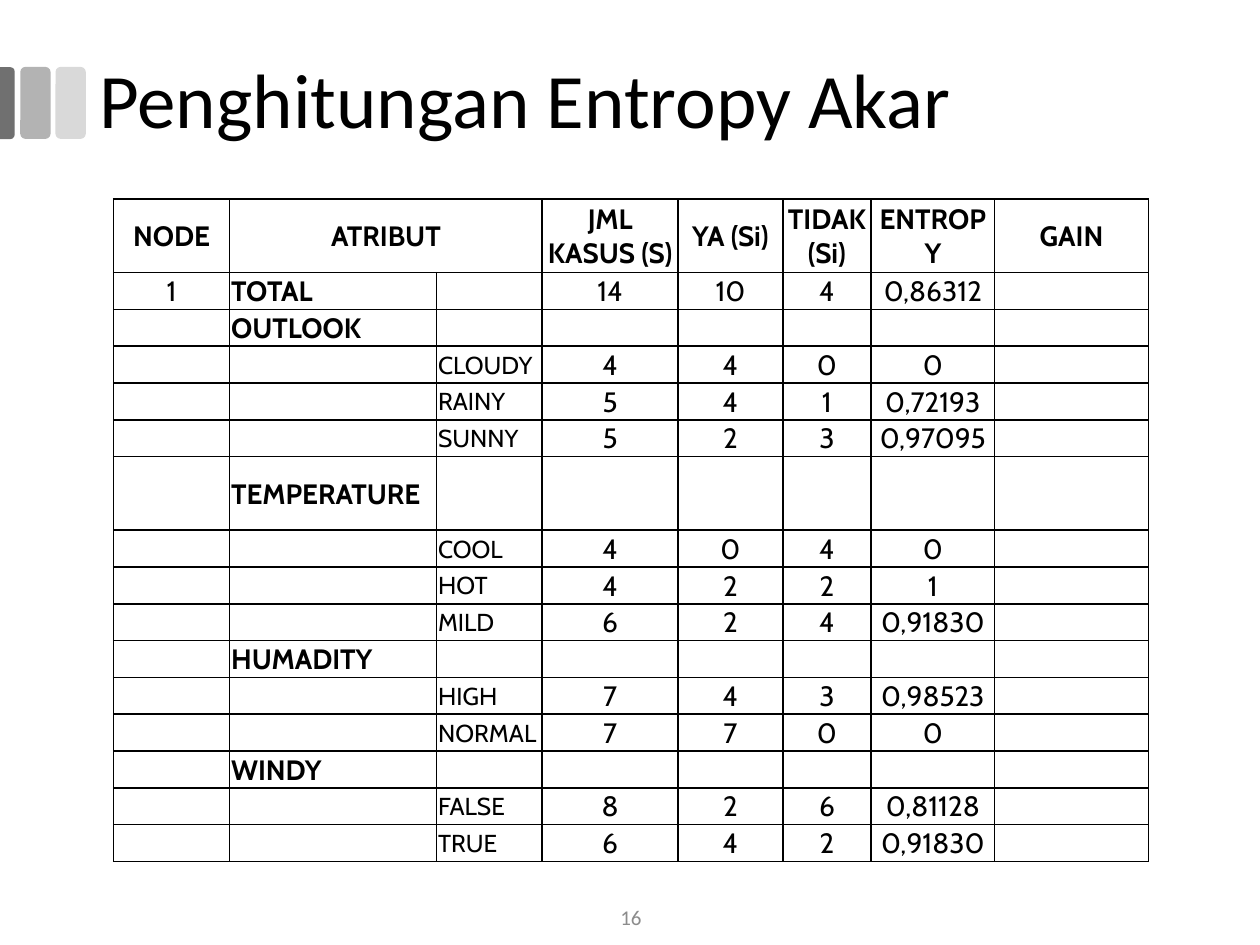
from dataclasses import dataclass

from lxml import etree
from pptx import Presentation
from pptx.dml.color import RGBColor
from pptx.enum.shapes import MSO_SHAPE
from pptx.enum.text import MSO_ANCHOR, PP_ALIGN
from pptx.oxml.ns import qn
from pptx.util import Cm, Pt

MIDDLE = MSO_ANCHOR.MIDDLE
LEFT, CENTER, JUSTIFY = PP_ALIGN.LEFT, PP_ALIGN.CENTER, PP_ALIGN.JUSTIFY
ROUNDED = MSO_SHAPE.ROUNDED_RECTANGLE
ROUNDED_TOP = MSO_SHAPE.ROUND_2_SAME_RECTANGLE
TITLE_ONLY_LAYOUT = 5


@dataclass(frozen=True)
class Theme:
    """Fonts, type sizes and colours of the slide."""
    title_font: str = "Calibri"
    table_font: str = "Cabin"
    title_size: int = 44
    table_size: int = 16
    value_name_size: int = 14
    number_size: int = 12
    border_width: int = 1
    ink: str = "000000"
    paper: str = "FFFFFF"
    muted: str = "8C8C8C"
    bars: tuple = ("707070", "B3B3B3", "D9D9D9")


THEME = Theme()
HEADERS = ["NODE", "ATRIBUT", "", "JML KASUS (S)", "YA (Si)", "TIDAK (Si)", "ENTROPY", "GAIN"]
TOTAL = ["14", "10", "4", "0,86312"]
ATTRIBUTES = {
    "OUTLOOK": [["CLOUDY", "4", "4", "0", "0"],
                ["RAINY", "5", "4", "1", "0,72193"],
                ["SUNNY", "5", "2", "3", "0,97095"]],
    "TEMPERATURE": [["COOL", "4", "0", "4", "0"],
                    ["HOT", "4", "2", "2", "1"],
                    ["MILD", "6", "2", "4", "0,91830"]],
    "HUMADITY": [["HIGH", "7", "4", "3", "0,98523"],
                 ["NORMAL", "7", "7", "0", "0"]],
    "WINDY": [["FALSE", "8", "2", "6", "0,81128"],
              ["TRUE", "6", "4", "2", "0,91830"]],
}
COLUMN_WIDTHS = [2.34, 4.17, 2.13, 2.74, 2.11, 1.78, 2.49, 3.1]
TABLE_HEIGHT = 13.36
ATTRIBUTE_COLUMN, VALUE_COLUMN = 1, 2


def style_text(paragraph, font_name, size, color, bold=False):
    """Format every run of a paragraph."""
    for run in paragraph.runs:
        run.font.name = font_name
        run.font.size = Pt(size)
        run.font.bold = bold
        run.font.color.rgb = RGBColor.from_string(color)


def add_bar(slide, preset, color, left, top, width, height, rotation=0):
    """Add one plain grey bar of the title ornament."""
    bar = slide.shapes.add_shape(preset, Cm(left), Cm(top), Cm(width), Cm(height))
    bar.rotation = rotation
    bar.shadow.inherit = False
    bar.fill.solid()
    bar.fill.fore_color.rgb = RGBColor.from_string(color)
    bar.line.fill.background()
    return bar


def add_ornament(slide):
    """Add the three bars that enter from the left edge."""
    dark, medium, light = THEME.bars
    add_bar(slide, ROUNDED, light, 1.12, 1.35, 0.61, 1.45)
    add_bar(slide, ROUNDED, medium, 0.41, 1.35, 0.61, 1.45)
    edge_bar = add_bar(slide, ROUNDED_TOP, dark, -0.58, 1.93, 1.45, 0.3, 90)
    edge_bar.adjustments[0] = 0.29


def set_title(slide, text):
    """Place and format the title placeholder."""
    title = slide.shapes.title
    title.left, title.top, title.width, title.height = Cm(1.75), Cm(0.43), Cm(21.9), Cm(3.33)
    title.text_frame.text = text
    title.text_frame.vertical_anchor = MIDDLE
    paragraph = title.text_frame.paragraphs[0]
    paragraph.alignment = LEFT
    paragraph.line_spacing = 0.9
    style_text(paragraph, THEME.title_font, THEME.title_size, THEME.ink)


def add_slide_number(slide, number):
    """Add the centred number at the foot of the slide."""
    box = slide.shapes.add_textbox(Cm(9.86), Cm(17.98), Cm(5.72), Cm(1.02))
    frame = box.text_frame
    frame.word_wrap = True
    frame.vertical_anchor = MIDDLE
    frame.text = number
    paragraph = frame.paragraphs[0]
    paragraph.alignment = CENTER
    style_text(paragraph, THEME.title_font, THEME.number_size, THEME.muted)


def add_borders(cell):
    """Draw a thin line on all four sides of a cell."""
    properties = cell._tc.get_or_add_tcPr()
    for side in ("lnL", "lnR", "lnT", "lnB"):
        line = etree.SubElement(properties, qn(f"a:{side}"), w=str(Pt(THEME.border_width)))
        fill = etree.SubElement(line, qn("a:solidFill"))
        etree.SubElement(fill, qn("a:srgbClr"), val=THEME.ink)


def format_cell(cell, text, alignment, size, bold):
    """Fill one table cell with its text, borders and background."""
    add_borders(cell)
    cell.fill.solid()
    cell.fill.fore_color.rgb = RGBColor.from_string(THEME.paper)
    cell.vertical_anchor = MIDDLE
    cell.margin_left = cell.margin_top = cell.margin_right = Cm(0.03)
    cell.margin_bottom = 0
    cell.text_frame.text = text
    paragraph = cell.text_frame.paragraphs[0]
    paragraph.alignment = alignment
    style_text(paragraph, THEME.table_font, size, THEME.ink, bold)
    if not text:
        etree.SubElement(paragraph._p, qn("a:endParaRPr"), sz=str(size * 100))


def cell_style(row, column, text):
    """Return alignment, size and weight for a table position."""
    if row == 0:
        return CENTER, THEME.table_size, True
    if column == ATTRIBUTE_COLUMN and text:
        return JUSTIFY if text == "TOTAL" else LEFT, THEME.table_size, True
    if column == VALUE_COLUMN or not text:
        return LEFT, THEME.value_name_size, False
    return CENTER, THEME.table_size, False


def table_rows():
    """List the cell texts of all rows, attribute by attribute."""
    rows = [HEADERS, ["1", "TOTAL", "", *TOTAL, ""]]
    for attribute, values in ATTRIBUTES.items():
        rows.append(["", attribute] + [""] * 6)
        rows.extend(["", "", *value, ""] for value in values)
    return rows


def add_entropy_table(slide):
    """Add the table of cases and entropy for each attribute value."""
    rows = table_rows()
    frame = slide.shapes.add_table(len(rows), len(HEADERS), Cm(2.29), Cm(4.01),
                                   Cm(sum(COLUMN_WIDTHS)), Cm(TABLE_HEIGHT))
    table = frame.table
    table.first_row = table.horz_banding = False
    for column, width in zip(table.columns, COLUMN_WIDTHS):
        column.width = Cm(width)
    shares = [2 if texts[1] in ("ATRIBUT", "TEMPERATURE") else 1 for texts in rows]
    for row, (texts, share) in enumerate(zip(rows, shares)):
        table.rows[row].height = Cm(TABLE_HEIGHT * share / sum(shares))
        for column, text in enumerate(texts):
            format_cell(table.cell(row, column), text, *cell_style(row, column, text))
    table.cell(0, ATTRIBUTE_COLUMN).merge(table.cell(0, VALUE_COLUMN))


def main():
    """Build the slide and save it."""
    presentation = Presentation()
    presentation.slide_width, presentation.slide_height = Cm(25.4), Cm(19.05)
    slide = presentation.slides.add_slide(presentation.slide_layouts[TITLE_ONLY_LAYOUT])
    add_ornament(slide)
    set_title(slide, "Penghitungan Entropy Akar")
    add_entropy_table(slide)
    add_slide_number(slide, "16")
    presentation.save("out.pptx")


if __name__ == "__main__":
    main()
